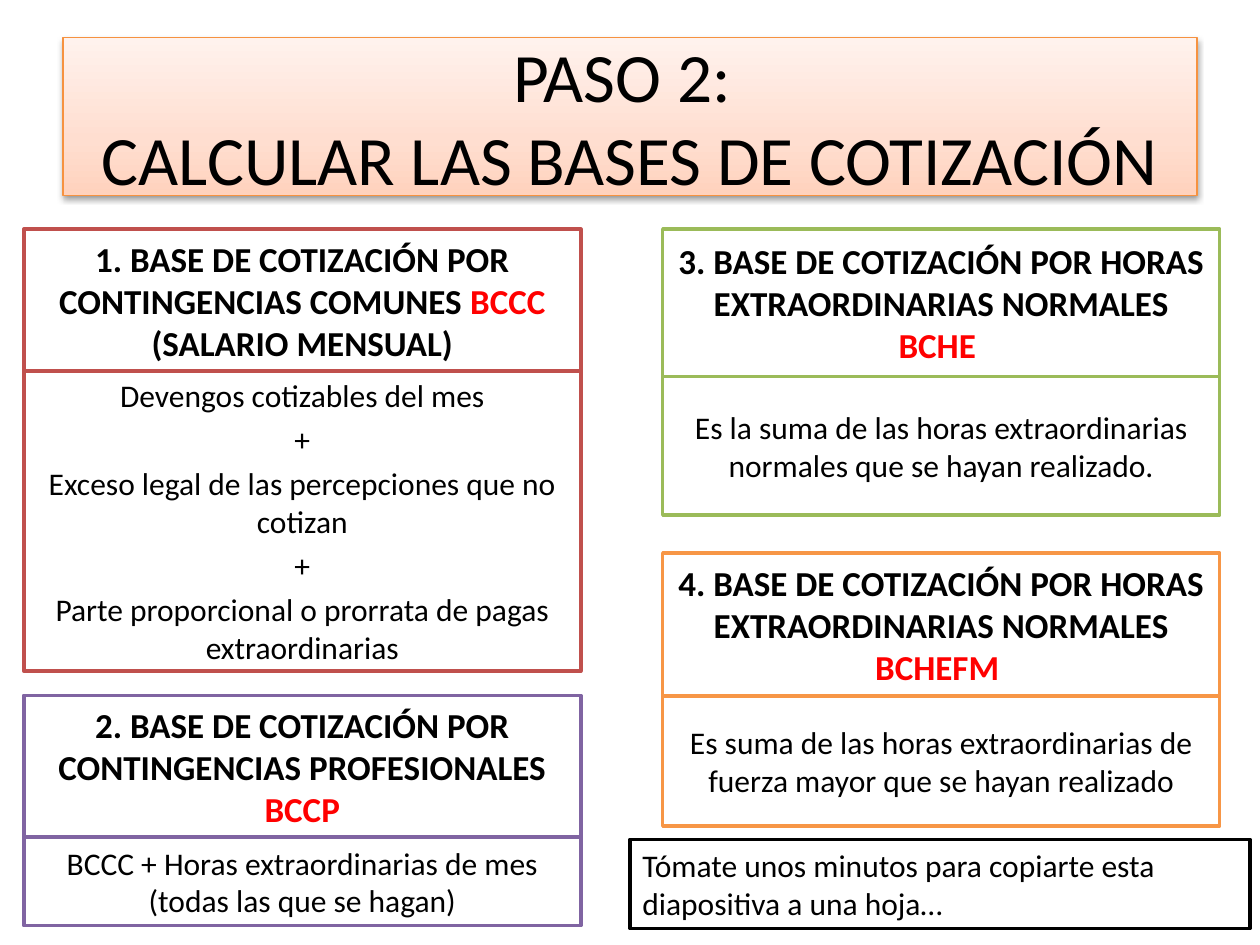
from lxml.etree import fromstring
from pptx import Presentation
from pptx.dml.color import RGBColor
from pptx.enum.shapes import MSO_SHAPE
from pptx.enum.text import MSO_ANCHOR, MSO_AUTO_SIZE, PP_ALIGN
from pptx.util import Cm, Pt

HUES = {
    "black": "000000", "white": "FFFFFF", "key": "FF0000", "edge": "F69240",
    "red": "C0504D", "violet": "8064A2", "green": "9BBB59", "orange": "F79646",
    "deep": "FFD2BD", "mid": "FFDED0", "pale": "FFF2ED",
}
NS = 'xmlns:a="http://schemas.openxmlformats.org/drawingml/2006/main"'


def add_run(para, text, size, hue="black", bold=False):
    run = para.add_run()
    run.text = text
    font = run.font
    font.name, font.size, font.bold = "Calibri", Pt(size), bold
    font.color.rgb = RGBColor.from_string(HUES[hue])


def add_box(left, top, width, height, hue, paras, size, bold=False, align=PP_ALIGN.CENTER):
    box = slide.shapes.add_shape(MSO_SHAPE.RECTANGLE, Cm(left), Cm(top), Cm(width), Cm(height))
    box.shadow.inherit = False
    box.fill.solid()
    box.fill.fore_color.rgb = RGBColor.from_string(HUES["white"])
    box.line.color.rgb = RGBColor.from_string(HUES[hue])
    box.line.width = Pt(2)
    frame = box.text_frame
    frame.word_wrap = True
    frame.vertical_anchor = MSO_ANCHOR.MIDDLE
    for i, runs in enumerate(paras):
        para = frame.add_paragraph() if i else frame.paragraphs[0]
        para.alignment = align
        para.space_before = Pt(size * 0.2 if i else 0)
        for text, ink in runs:
            add_run(para, text, size, ink, bold)


deck = Presentation()
deck.slide_width, deck.slide_height = Cm(25.4), Cm(19.05)
slide = deck.slides.add_slide(deck.slide_layouts[5])

title = slide.shapes.title
title.left, title.top, title.width, title.height = Cm(1.27), Cm(0.76), Cm(22.86), Cm(3.18)
stops = "".join(
    f'<a:gs pos="{pos}"><a:srgbClr val="{HUES[hue]}"/></a:gs>'
    for pos, hue in ((0, "deep"), (35000, "mid"), (100000, "pale"))
)
props = title.element.spPr
props.append(fromstring(
    f'<a:gradFill {NS} rotWithShape="1"><a:gsLst>{stops}</a:gsLst>'
    '<a:lin ang="16200000" scaled="1"/></a:gradFill>'
))
title.line.color.rgb = RGBColor.from_string(HUES["edge"])
title.line.width = Pt(0.75)
props.append(fromstring(
    f'<a:effectLst {NS}><a:outerShdw blurRad="{Pt(3.1)}" dist="{Pt(1.6)}" dir="5400000" '
    f'rotWithShape="0"><a:srgbClr val="{HUES["black"]}"><a:alpha val="38000"/></a:srgbClr>'
    '</a:outerShdw></a:effectLst>'
))
frame = title.text_frame
frame.word_wrap = True
frame.auto_size = MSO_AUTO_SIZE.NONE
frame.vertical_anchor = MSO_ANCHOR.MIDDLE
para = frame.paragraphs[0]
para.alignment = PP_ALIGN.CENTER
add_run(para, "PASO 2: ", 39.6)
para.add_line_break()
add_run(para, "CALCULAR LAS BASES DE COTIZACIÓN", 39.6)

WIDE = 11.23
LEFT, RIGHT = 0.48, 13.36
cards = [
    (LEFT, 4.62, 2.86, 6.05, "red",
     [("1. BASE DE COTIZACIÓN POR CONTINGENCIAS COMUNES ", "black"), ("BCCC", "key"),
      (" (SALARIO MENSUAL)", "black")],
     ["Devengos cotizables del mes", "+",
      "Exceso legal de las percepciones que no cotizan", "+",
      "Parte proporcional o prorrata de pagas extraordinarias"]),
    (LEFT, 14.02, 2.86, 1.78, "violet",
     [("2. BASE DE COTIZACIÓN POR CONTINGENCIAS PROFESIONALES ", "black"), ("BCCP", "key")],
     ["BCCC + Horas extraordinarias de mes (todas las que se hagan)"]),
    (RIGHT, 4.62, 2.97, 2.79, "green",
     [("3. BASE DE COTIZACIÓN POR HORAS EXTRAORDINARIAS NORMALES ", "black"), ("BCHE ", "key")],
     ["Es la suma de las horas extraordinarias normales que se hayan realizado."]),
    (RIGHT, 11.15, 2.88, 2.62, "orange",
     [("4. BASE DE COTIZACIÓN POR HORAS EXTRAORDINARIAS NORMALES ", "black"), ("BCHEFM ", "key")],
     ["Es suma de las horas extraordinarias de fuerza mayor que se hayan realizado"]),
]
for left, top, high, deep, hue, head, lines in cards:
    add_box(left, top, WIDE, high, hue, [head], 20, bold=True)
    add_box(left, top + high, WIDE, deep, hue, [[(line, "black")] for line in lines], 18)

note = "Tómate unos minutos para copiarte esta diapositiva a una hoja…"
add_box(12.7, 16.92, 12.5, 1.8, "black", [[(note, "black")]], 18, align=PP_ALIGN.LEFT)

deck.save("out.pptx")
